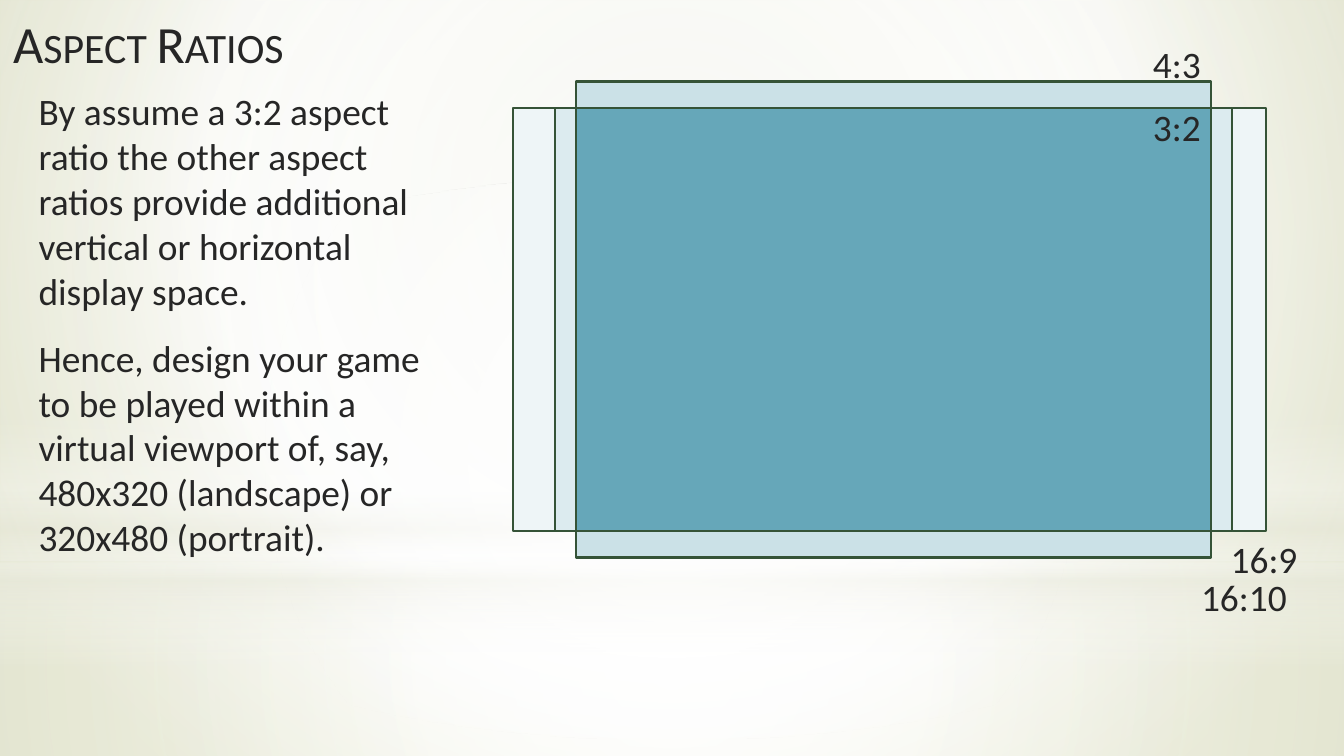
from lxml.etree import fromstring
from pptx import Presentation
from pptx.dml.color import RGBColor
from pptx.enum.shapes import MSO_SHAPE as Kind
from pptx.enum.text import MSO_ANCHOR as Anchor, MSO_AUTO_SIZE as Fit
from pptx.oxml.ns import nsdecls, qn
from pptx.util import Cm, Pt

INK = RGBColor(0x26, 0x26, 0x26)
EDGE = RGBColor(0x35, 0x53, 0x37)
ICE = RGBColor(0xEE, 0xF5, 0xF7)
PALE = RGBColor(0xDC, 0xEB, 0xEF)
LIGHT = RGBColor(0xCB, 0xE1, 0xE7)
TEAL = RGBColor(0x66, 0xA7, 0xB9)
WHITE = RGBColor(0xFF, 0xFF, 0xFF)
SAND = RGBColor(0xEA, 0xEB, 0xDE)
MOSS = RGBColor(0xE3, 0xE5, 0xD1)
OLIVE = RGBColor(0xCC, 0xD0, 0x9F)

FONT = "Calibri"
WIDE, HIGH = 25.4, 14.29
MID_X, MID_Y = 16.89, 6.04
UNIT = 8  # height of the 3:2 frame
MIDDLE = (50, 50, 50, 50)


def grad(stops, focus=None):
    """Gradient of (position, colour, opacity) stops: round at focus, else downward."""
    marks = "".join(
        f'<a:gs pos="{pos * 1000}"><a:srgbClr val="{hue}">'
        f'<a:alpha val="{alpha * 1000}"/></a:srgbClr></a:gs>'
        for pos, hue, alpha in stops)
    if focus:
        sides = " ".join(f'{side}="{part * 1000}"' for side, part in zip("ltrb", focus))
        form = f'<a:path path="circle"><a:fillToRect {sides}/></a:path>'
    else:
        form = '<a:lin ang="5400000" scaled="0"/>'
    return fromstring(f'<a:gradFill {nsdecls("a")} rotWithShape="1">'
                      f'<a:gsLst>{marks}</a:gsLst>{form}</a:gradFill>')


def paint(slide):
    """Fill the slide background with a round gradient."""
    slide.background.fill.solid()
    props = slide.background._cSld.bg.bgPr
    old = props.find(qn("a:solidFill"))
    props.replace(old, grad([(0, MOSS, 100), (60, WHITE, 100), (100, OLIVE, 100)],
                            (20, 10, 20, 60)))


def glow(slide, kind, top, high, stops, focus=None):
    """Add a full-width, see-through band."""
    band = slide.shapes.add_shape(kind, 0, Cm(top), Cm(WIDE), Cm(high))
    band.shadow.inherit = False
    band.line.fill.background()
    band.fill.solid()
    props = band._element.spPr
    props.replace(props.find(qn("a:solidFill")), grad(stops, focus))


def frame(slide, wide, high, fill, shift=0):
    """Add a screen outline centred on the shared midpoint."""
    box = slide.shapes.add_shape(Kind.ROUNDED_RECTANGLE,
                                 Cm(MID_X + shift - wide / 2), Cm(MID_Y - high / 2),
                                 Cm(wide), Cm(high))
    box.adjustments[0] = 0
    box.shadow.inherit = False
    box.fill.solid()
    box.fill.fore_color.rgb = fill
    box.line.color.rgb = EDGE
    box.line.width = Pt(1.25)


def write(slide, left, top, wide, high, *lines, size=20):
    box = slide.shapes.add_textbox(Cm(left), Cm(top), Cm(wide), Cm(high))
    text = box.text_frame
    text.word_wrap = True
    text.auto_size = Fit.SHAPE_TO_FIT_TEXT
    for i, line in enumerate(lines):
        para = text.add_paragraph() if i else text.paragraphs[0]
        if i:
            para.space_before = Pt(12)
        run = para.add_run()
        run.text = line
        run.font.name = FONT
        run.font.size = Pt(size)
        run.font.color.rgb = INK
    return text


def title(slide, line):
    text = write(slide, 0, 0, 10.8, 1.6, line, size=28)
    text.auto_size = Fit.NONE
    text.vertical_anchor = Anchor.MIDDLE
    text.paragraphs[0].runs[0].font._element.set("cap", "small")


def main():
    deck = Presentation()
    deck.slide_width, deck.slide_height = Cm(WIDE), Cm(HIGH)
    slide = deck.slides.add_slide(deck.slide_layouts[6])

    paint(slide)
    glow(slide, Kind.RECTANGLE, 10.64, 3.65,
         [(0, WHITE, 91), (37, WHITE, 76), (100, SAND, 79)], MIDDLE)
    glow(slide, Kind.RECTANGLE, 0, 10.64,
         [(0, WHITE, 89), (48, WHITE, 62), (100, SAND, 79)], MIDDLE)
    glow(slide, Kind.RECTANGLE, 7.85, 4.78,
         [(0, WHITE, 0), (29, WHITE, 30), (45, SAND, 40),
          (55, WHITE, 26), (65, SAND, 60), (100, WHITE, 0)])
    glow(slide, Kind.OVAL, 3.33, 10.64, [(0, WHITE, 100), (56, WHITE, 0)], MIDDLE)

    title(slide, "Aspect Ratios")

    base = UNIT * 3 / 2
    frame(slide, UNIT * 16 / 9, UNIT, ICE, shift=-0.08)
    frame(slide, UNIT * 16 / 10, UNIT, PALE)
    frame(slide, base, base * 3 / 4, LIGHT)
    frame(slide, base, UNIT, TEAL)

    for name, left, top, wide in (("4:3", 21.54, 0.66, 1.8),
                                  ("3:2", 21.54, 1.85, 1.8),
                                  ("16:10", 22.45, 10.72, 2.64),
                                  ("16:9", 23.01, 10.01, 2.36)):
        write(slide, left, top, wide, 1.11, name)

    write(slide, 0.48, 1.55, 8.03, 9.25,
          "By assume a 3:2 aspect ratio the other aspect ratios provide "
          "additional vertical or horizontal display space.",
          "Hence, design your game to be played within a virtual viewport of, "
          "say, 480x320 (landscape) or 320x480 (portrait).")

    deck.save("out.pptx")


if __name__ == "__main__":
    main()
